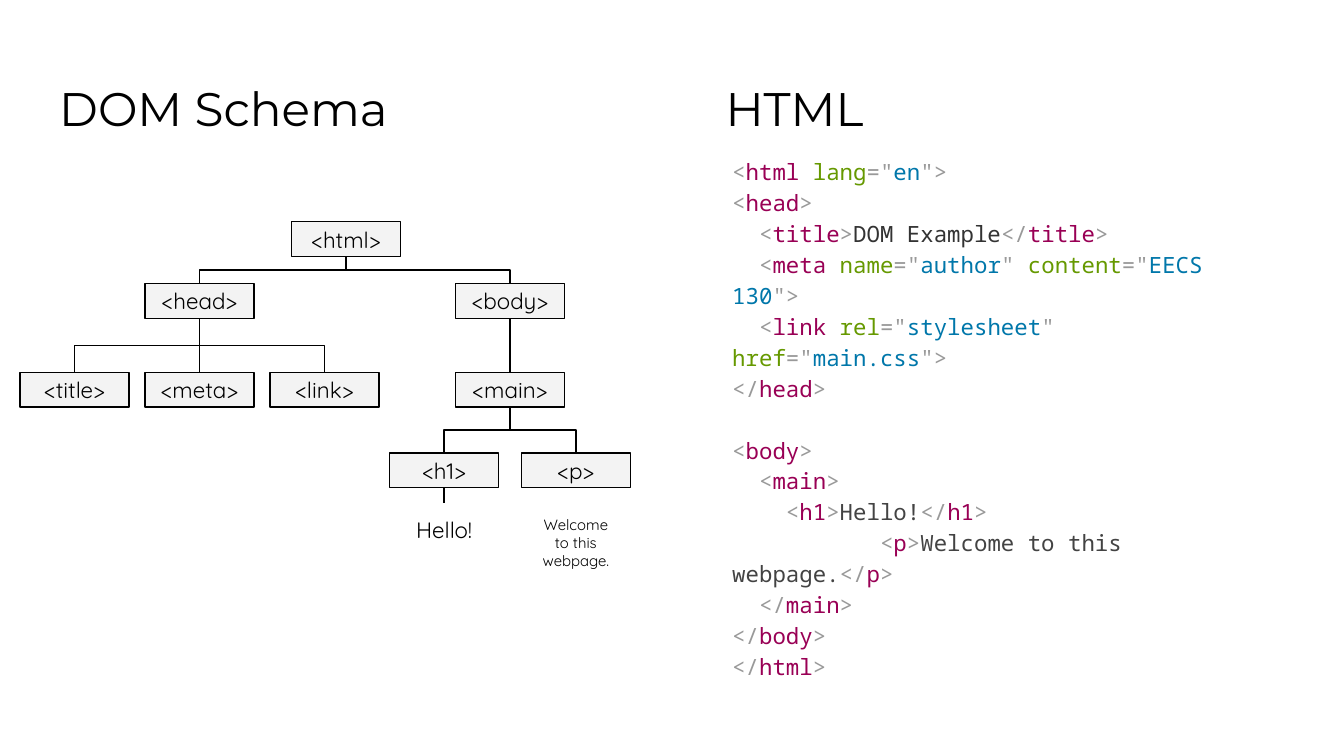
from lxml.etree import SubElement
from pptx import Presentation
from pptx.dml.color import RGBColor
from pptx.enum.shapes import MSO_CONNECTOR, MSO_SHAPE
from pptx.enum.text import MSO_ANCHOR, PP_ALIGN
from pptx.oxml.ns import qn
from pptx.util import Inches, Pt

COLORS = {
    "black": "000000", "node": "F3F3F3", "mark": "999999", "tag": "990055",
    "name": "669900", "value": "0077AA", "title": "333333", "body": "434343",
}
SLIDE_WIDTH = 10
SLIDE_HEIGHT = SLIDE_WIDTH * 9 / 16
HEADINGS = [("DOM Schema", 0.34), ("HTML", 5.3)]

ROW_TOPS = [1.65, 2.11, 2.77, 3.37, 3.74]
LEAF_LEFT, LEAF_STEP = 0.15, 0.93
LEAVES = [LEAF_LEFT + LEAF_STEP * index for index in range(3)]
H1_LEFT, P_LEFT = 2.9, 3.88
BODY_LEFT = (H1_LEFT + P_LEFT) / 2
NODE_WIDTH, NODE_HEIGHT = 0.81, 0.26

NODES = [
    ("html", 2.17, 0, None),
    ("head", LEAVES[1], 1, "html"),
    ("body", BODY_LEFT, 1, "html"),
    ("title", LEAVES[0], 2, "head"),
    ("meta", LEAVES[1], 2, "head"),
    ("link", LEAVES[2], 2, "head"),
    ("main", BODY_LEFT, 2, "body"),
    ("h1", H1_LEFT, 3, "main"),
    ("p", P_LEFT, 3, "main"),
]
CONTENTS = [("Hello!", H1_LEFT, 12), ("Welcome to this webpage.", P_LEFT, 8)]

CODE = [
    [("<", "mark"), ("html ", "tag"), ("lang", "name"), ('="', "mark"),
     ("en", "value"), ('">', "mark")],
    [("<", "mark"), ("head", "tag"), (">", "mark")],
    [("  <", "mark"), ("title", "tag"), (">", "mark"), ("DOM Example", "title"),
     ("</", "mark"), ("title", "tag"), (">", "mark")],
    [("  <", "mark"), ("meta ", "tag"), ("name", "name"), ('="', "mark"),
     ("author", "value"), ('" ', "mark"), ("content", "name"), ('="', "mark"),
     ("EECS 130", "value"), ('">', "mark")],
    [("  <", "mark"), ("link ", "tag"), ("rel", "name"), ('="', "mark"),
     ("stylesheet", "value"), ('" ', "mark"), ("href", "name"), ('="', "mark"),
     ("main.css", "value"), ('">', "mark")],
    [("</", "mark"), ("head", "tag"), (">", "mark")],
    [],
    [("<", "mark"), ("body", "tag"), (">", "mark")],
    [("  <", "mark"), ("main", "tag"), (">", "mark")],
    [("    <", "mark"), ("h1", "tag"), (">", "mark"), ("Hello!", "body"),
     ("</", "mark"), ("h1", "tag"), (">", "mark")],
    [("\t <", "mark"), ("p", "tag"), (">", "mark"),
     ("Welcome to this webpage.", "body"), ("</", "mark"), ("p", "tag"), (">", "mark")],
    [("  </", "mark"), ("main", "tag"), (">", "mark")],
    [("</", "mark"), ("body", "tag"), (">", "mark")],
    [("</", "mark"), ("html", "tag"), (">", "mark")],
]


def color(name):
    return RGBColor.from_string(COLORS[name])


def add_span(para, text, size, font, shade="black"):
    span = para.add_run()
    span.text = text
    span.font.size = Pt(size)
    span.font.name = font
    span.font.color.rgb = color(shade)


def set_frame(box, anchor=MSO_ANCHOR.TOP, top=0.1, right=0.1):
    frame = box.text_frame
    frame.word_wrap = True
    frame.vertical_anchor = anchor
    frame.margin_left = frame.margin_bottom = Inches(0.1)
    frame.margin_top, frame.margin_right = Inches(top), Inches(right)
    return frame.paragraphs[0]


def add_box(slide, left, top, width, height):
    return slide.shapes.add_textbox(*map(Inches, (left, top, width, height)))


def add_node(slide, tag, left, top):
    node = slide.shapes.add_shape(
        MSO_SHAPE.RECTANGLE, *map(Inches, (left, top, NODE_WIDTH, NODE_HEIGHT)))
    node.shadow.inherit = False
    node.fill.solid()
    node.fill.fore_color.rgb = color("node")
    node.line.color.rgb = color("black")
    node.line.width = Pt(0.75)
    para = set_frame(node, MSO_ANCHOR.MIDDLE)
    para.alignment = PP_ALIGN.CENTER
    add_span(para, f"<{tag}>", 12, "Quicksand")


def add_branch(slide, start_x, start_y, end_x, end_y):
    across, down = end_x - start_x, end_y - start_y
    bent = abs(across) > 0.01
    kind = MSO_CONNECTOR.ELBOW if bent else MSO_CONNECTOR.STRAIGHT
    line = slide.shapes.add_connector(
        kind, *map(Inches, (start_x, start_y, end_x, end_y)))
    if bent:
        line.left = Inches((start_x + end_x - down) / 2)
        line.top = Inches((start_y + end_y - abs(across)) / 2)
        line.width, line.height = Inches(down), Inches(abs(across))
        frame = line._element.spPr.find(qn("a:xfrm"))
        frame.attrib.pop("flipH", None)
        frame.set("rot", str((90 if across < 0 else 270) * 60000))
        if across > 0:
            frame.set("flipH", "1")
    line.line.color.rgb = color("black")
    line.line.width = Pt(0.75)
    SubElement(line._element.spPr, qn("a:effectLst"))


def add_headings(slide):
    for index, (text, left) in enumerate(HEADINGS):
        area = (left, 0.49, 4.35, 0.63)
        if index == 0:
            box = slide.shapes.title
            box.left, box.top, box.width, box.height = map(Inches, area)
        else:
            box = add_box(slide, *area)
        para = set_frame(box)
        para.alignment = PP_ALIGN.LEFT
        add_span(para, text, 25.2, "Montserrat")


def add_tree(slide):
    places = {tag: (left, ROW_TOPS[row]) for tag, left, row, _ in NODES}
    middle = NODE_WIDTH / 2
    for tag, left, row, parent in NODES:
        if parent:
            parent_left, parent_top = places[parent]
            add_branch(slide, parent_left + middle, parent_top + NODE_HEIGHT,
                       left + middle, ROW_TOPS[row])
    for tag, (left, top) in places.items():
        add_node(slide, tag, left, top)
    add_branch(slide, H1_LEFT + middle, ROW_TOPS[3] + NODE_HEIGHT,
               H1_LEFT + middle, ROW_TOPS[4])
    for text, left, size in CONTENTS:
        para = set_frame(add_box(slide, left, ROW_TOPS[4], NODE_WIDTH, 0.24))
        para.alignment = PP_ALIGN.CENTER
        add_span(para, text, size, "Quicksand")


def add_code(slide):
    para = set_frame(add_box(slide, 5.18, 1.11, 4.6, 4.21), top=0.04, right=0.6)
    para.line_spacing = 1.15
    properties = para._p.get_or_add_pPr()
    properties.set("marL", str(Inches(0.17)))
    properties.set("indent", "0")
    properties.set("defTabSz", str(Inches(1)))
    for index, line in enumerate(CODE):
        if index:
            para.add_line_break()
            SubElement(para._p[-1], qn("a:rPr"), sz="1200")
        for text, shade in line:
            add_span(para, text, 12, "Noto Sans Mono", shade)


def main():
    deck = Presentation()
    deck.slide_width, deck.slide_height = Inches(SLIDE_WIDTH), Inches(SLIDE_HEIGHT)
    slide = deck.slides.add_slide(deck.slide_layouts[5])
    add_headings(slide)
    add_tree(slide)
    add_code(slide)
    deck.save("out.pptx")


if __name__ == "__main__":
    main()
